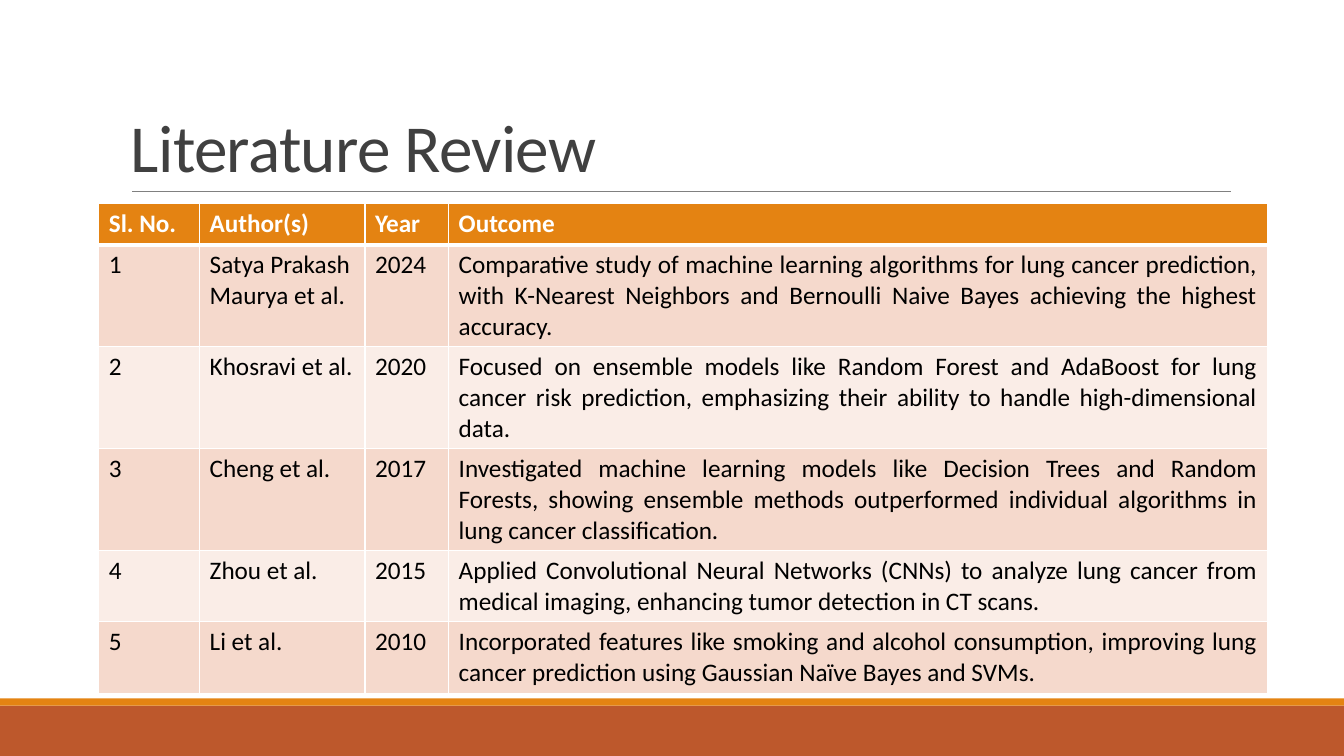
from lxml import etree
from pptx import Presentation
from pptx.dml.color import RGBColor
from pptx.enum.shapes import MSO_CONNECTOR as CONN, MSO_SHAPE as SHAPE
from pptx.enum.text import MSO_ANCHOR as ANCHOR, PP_ALIGN as ALIGN
from pptx.oxml.ns import qn
from pptx.util import Inches, Pt

WHITE = RGBColor(0xFF, 0xFF, 0xFF)
BLACK = RGBColor(0, 0, 0)
CHARCOAL = RGBColor(0x40, 0x40, 0x40)
GRAY = RGBColor(0x80, 0x80, 0x80)
ORANGE = RGBColor(0xE4, 0x83, 0x12)
RUST = RGBColor(0xBD, 0x58, 0x2C)
BANDS = [RGBColor(0xF5, 0xD9, 0xCC), RGBColor(0xFA, 0xED, 0xE7)]

COLUMN_WIDTHS = [1, 1.64, 0.83, 8.12]
ROW_HEIGHTS = [0.41, 1.01, 1.01, 1.01, 0.71, 0.71]
STUDIES = [
    ("Sl. No.", "Author(s)", "Year", "Outcome"),
    ("1", "Satya Prakash Maurya et al.", "2024",
     "Comparative study of machine learning algorithms for lung cancer prediction, "
     "with K-Nearest Neighbors and Bernoulli Naive Bayes achieving the highest accuracy."),
    ("2", "Khosravi et al.", "2020",
     "Focused on ensemble models like Random Forest and AdaBoost for lung cancer risk "
     "prediction, emphasizing their ability to handle high-dimensional data."),
    ("3", "Cheng et al.", "2017",
     "Investigated machine learning models like Decision Trees and Random Forests, showing "
     "ensemble methods outperformed individual algorithms in lung cancer classification."),
    ("4", "Zhou et al.", "2015",
     "Applied Convolutional Neural Networks (CNNs) to analyze lung cancer from medical "
     "imaging, enhancing tumor detection in CT scans."),
    ("5", "Li et al.", "2010",
     "Incorporated features like smoking and alcohol consumption, improving lung cancer "
     "prediction using Gaussian Naïve Bayes and SVMs."),
]


class SlideBuilder:
    font_name = "Calibri"

    def __init__(self, slide):
        self.slide = slide

    def add_text(self, p, text, color, **formats):
        r = p.add_run()
        r.text = text
        r.font.color.rgb = color
        for name, value in {"name": self.font_name, **formats}.items():
            setattr(r.font, name, value)
        return r

    def bar(self, x, y, w, h, color):
        sp = self.slide.shapes.add_shape(
            SHAPE.RECTANGLE, Inches(x), Inches(y), Inches(w), Inches(h))
        sp.shadow.inherit = False
        sp.fill.solid()
        sp.fill.fore_color.rgb = color
        sp.line.fill.background()

    def rule(self, x1, x2, y, color, width):
        line = self.slide.shapes.add_connector(
            CONN.STRAIGHT, Inches(x1), Inches(y), Inches(x2), Inches(y))
        line.line.color.rgb = color
        line.line.width = Pt(width)
        etree.SubElement(line._element.spPr, qn("a:effectLst"))

    def title(self, text, x, y, w, h):
        tf = self.slide.shapes.add_textbox(
            Inches(x), Inches(y), Inches(w), Inches(h)).text_frame
        tf.word_wrap = True
        tf.vertical_anchor = ANCHOR.BOTTOM
        p = tf.paragraphs[0]
        p.line_spacing = 0.85
        r = self.add_text(p, text, CHARCOAL, size=Pt(48))
        r._r.get_or_add_rPr().set("spc", "-50")

    def borders(self, cell, bottom, top):
        tc_pr = cell._tc.get_or_add_tcPr()
        for side, width in {"L": 1, "R": 1, "T": top, "B": bottom}.items():
            ln = etree.SubElement(tc_pr, qn(f"a:ln{side}"), w=str(Pt(width)))
            fill = etree.SubElement(ln, qn("a:solidFill"))
            etree.SubElement(fill, qn("a:srgbClr"), val=str(WHITE))

    def table(self, rows, x, y, widths, heights):
        """Draw a table with a header row and banded body rows."""
        table = self.slide.shapes.add_table(
            len(rows), len(widths), Inches(x), Inches(y),
            Inches(sum(widths)), Inches(sum(heights))).table
        for column, width in zip(table.columns, widths):
            column.width = Inches(width)
        for i, (values, height) in enumerate(zip(rows, heights)):
            table.rows[i].height = Inches(height)
            header = i == 0
            for j, value in enumerate(values):
                cell = table.cell(i, j)
                self.borders(cell, bottom=3 if header else 1, top=3 if i == 1 else 1)
                cell.fill.solid()
                cell.fill.fore_color.rgb = ORANGE if header else BANDS[(i - 1) % 2]
                p = cell.text_frame.paragraphs[0]
                if not header and j == len(widths) - 1:
                    p.alignment = ALIGN.JUSTIFY
                self.add_text(p, value, WHITE if header else BLACK, size=Pt(18), bold=header)


def main():
    prs = Presentation()
    prs.slide_width, prs.slide_height = Inches(13.33), Inches(7.5)
    s = SlideBuilder(prs.slides.add_slide(prs.slide_layouts[6]))
    s.bar(0, 7, 13.33, 0.5, RUST)
    s.bar(0, 6.93, 13.33, 0.07, ORANGE)
    s.rule(1.31, 12.21, 1.9, GRAY, 0.5)
    s.title("Literature Review", 1.2, 0.31, 11, 1.59)
    s.table(STUDIES, 0.98, 2.02, COLUMN_WIDTHS, ROW_HEIGHTS)
    prs.save("out.pptx")


if __name__ == "__main__":
    main()
